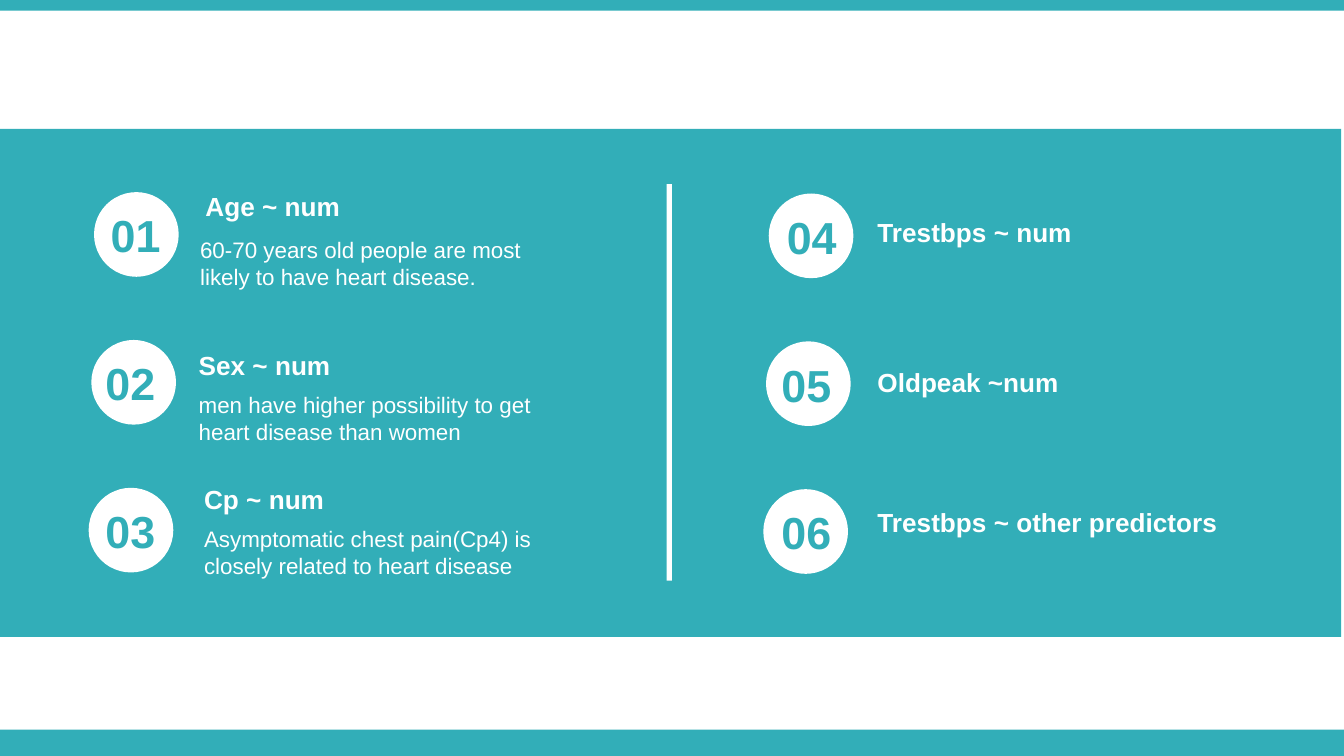
"""Builds a slide of six numbered heart disease predictors in two columns."""
import pptx
import pptx.dml.color
import pptx.enum.shapes
import pptx.enum.text
import pptx.util

TEAL = pptx.dml.color.RGBColor(0x32, 0xAE, 0xB8)
WHITE = pptx.dml.color.RGBColor(0xFF, 0xFF, 0xFF)
Inches = pptx.util.Inches
SHAPE = pptx.enum.shapes.MSO_SHAPE
ALIGN = pptx.enum.text.PP_ALIGN
ROW_STEP = 1.1
COLUMN_SHIFT = 0.02


def write(tf, text, size=12, bold=False, color=WHITE, align=ALIGN.LEFT, font="Arial"):
    tf.word_wrap = True
    p = tf.paragraphs[0]
    p.alignment = align
    r = p.add_run()
    r.text = text
    r.font.name = font
    r.font.size = pptx.util.Pt(size)
    r.font.bold = bold
    r.font.color.rgb = color


class Deck:
    def __init__(self, s):
        self.s = s

    def block(self, x, y, w, h, fill=TEAL, kind=SHAPE.RECTANGLE):
        sp = self.s.shapes.add_shape(kind, Inches(x), Inches(y), Inches(w), Inches(h))
        sp.shadow.inherit = False
        sp.fill.solid()
        sp.fill.fore_color.rgb = fill
        sp.line.fill.background()

    def text(self, x, y, w, h, text, **style):
        sp = self.s.shapes.add_textbox(Inches(x), Inches(y), Inches(w), Inches(h))
        write(sp.text_frame, text, **style)

    def badge(self, x, y, number, number_x):
        self.block(x, y, 0.63, 0.63, WHITE, SHAPE.OVAL)
        self.text(number_x, y + 0.07, 0.7, 0.5, f"{number:02d}",
                  size=24, bold=True, color=TEAL, align=ALIGN.CENTER)

    def heading(self, x, y, text):
        self.text(x, y, 2.91, 0.34, text, size=14, bold=True)

    def detail(self, x, y, text):
        self.text(x, y, 2.91, 0.71, text)


def main():
    prs = pptx.Presentation()
    prs.slide_width = Inches(10)
    prs.slide_height = prs.slide_width * 9 // 16
    deck = Deck(prs.slides.add_slide(prs.slide_layouts[6]))

    deck.block(0, 5.43, 10, 0.2)
    deck.block(0, 0, 10, 0.08)
    deck.block(-0.02, 0.96, 10, 3.78)
    deck.block(4.96, 1.37, 0.04, 2.95, WHITE)

    explained = [
        (0.66, 1.43, 1.37, "Age ~ num", 1.39, 1.71,
         "60-70 years old people are most likely to have heart disease."),
        (0.62, 1.38, 2.55, "Sex ~ num", 1.38, 2.86,
         "men have higher possibility to get heart disease than women"),
        (0.62, 1.42, 3.55, "Cp ~ num", 1.42, 3.86,
         "Asymptomatic chest pain(Cp4) is closely related to heart disease"),
    ]
    for i, (number_x, x, y, title, detail_x, detail_y, detail) in enumerate(explained):
        deck.badge(0.7 - i * COLUMN_SHIFT, 1.43 + i * ROW_STEP, i + 1, number_x)
        deck.detail(detail_x, detail_y, detail)
        deck.heading(x, y, title)

    brief = [
        (5.69, 1.56, "Trestbps ~ num"),
        (5.65, 2.68, "Oldpeak ~num"),
        (5.65, 3.72, "Trestbps ~ other predictors"),
    ]
    for i, (number_x, y, title) in enumerate(brief):
        deck.badge(5.72 - i * COLUMN_SHIFT, 1.44 + i * ROW_STEP, i + 4, number_x)
        deck.heading(6.43, y, title)

    prs.save("out.pptx")


if __name__ == "__main__":
    main()
